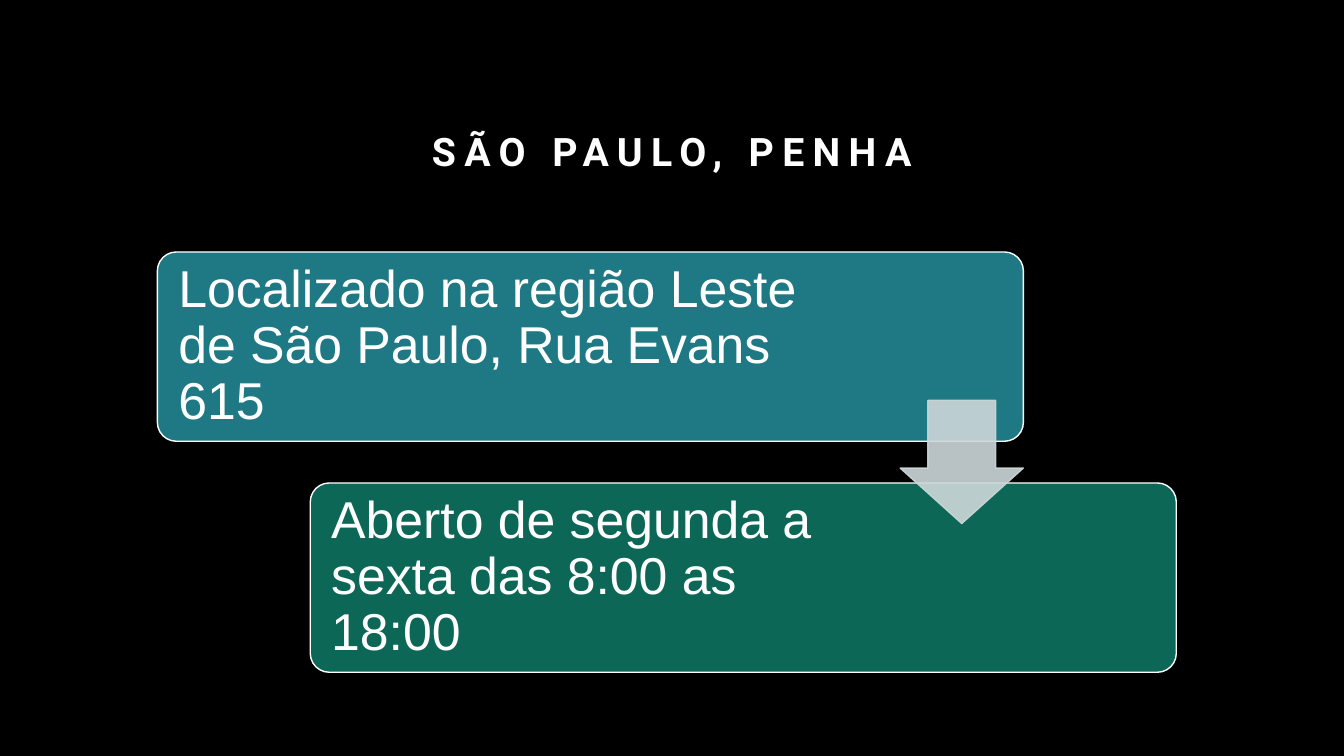
from lxml import etree
from pptx import Presentation
from pptx.dml.color import RGBColor
from pptx.enum import shapes, text
from pptx.oxml import ns
from pptx.util import Pt

BLACK = RGBColor(0x00, 0x00, 0x00)
WHITE = RGBColor(0xFF, 0xFF, 0xFF)
TEAL = RGBColor(0x1F, 0x79, 0x85)
GREEN = RGBColor(0x0D, 0x67, 0x56)
GREY = RGBColor(0xCD, 0xD7, 0xD9)


class SlideBuilder:
    title_font, body_font = "Roboto", "Arial"
    title_size, body_size = 28, 37
    line_width = 1

    def __init__(self, presentation):
        self.slide = presentation.slides.add_slide(presentation.slide_layouts[6])

    def background(self, color):
        fill = self.slide.background.fill
        fill.solid()
        fill.fore_color.rgb = color

    def shape(self, kind, box, adjustments, fill, line, opacity=100):
        shape = self.slide.shapes.add_shape(kind, *map(Pt, box))
        shape.shadow.inherit = False
        for index, value in enumerate(adjustments):
            shape.adjustments[index] = value
        shape.fill.solid()
        shape.fill.fore_color.rgb = fill
        shape.line.color.rgb = line
        shape.line.width = Pt(self.line_width)
        if opacity < 100:
            for color in shape._element.spPr.iter(ns.qn("a:srgbClr")):
                etree.SubElement(color, ns.qn("a:alpha"), val=str(opacity * 1000))
        return shape

    def text(self, words, box, font, size, anchor, spacing, inset=None):
        shape = self.slide.shapes.add_textbox(*map(Pt, box))
        frame = shape.text_frame
        frame.word_wrap = True
        frame.vertical_anchor = anchor
        if inset is not None:
            frame.margin_left = frame.margin_right = Pt(inset)
            frame.margin_top = frame.margin_bottom = Pt(inset)
        frame.text = words
        paragraph = frame.paragraphs[0]
        paragraph.line_spacing = spacing
        run = paragraph.runs[0]
        run.font.name = font
        run.font.size = Pt(size)
        run.font.color.rgb = WHITE
        return paragraph

    def title(self, words, box, tracking):
        paragraph = self.text(words, box, self.title_font, self.title_size,
                              text.MSO_ANCHOR.BOTTOM, 1.2)
        paragraph.alignment = text.PP_ALIGN.CENTER
        run = paragraph.runs[0]
        run.font.bold = True
        run._r.get_or_add_rPr().set("spc", str(tracking * 100))

    def card(self, words, box, text_width, color):
        left, top, _, height = box
        self.shape(shapes.MSO_SHAPE.ROUNDED_RECTANGLE, box, [0.1], color, WHITE)
        gap = 4
        self.text(words, (left + gap, top + gap, text_width, height - 2 * gap),
                  self.body_font, self.body_size, text.MSO_ANCHOR.MIDDLE, 0.9, 11)

    def down_arrow(self, box):
        self.shape(shapes.MSO_SHAPE.DOWN_ARROW, box, [0.55, 0.45], GREY, GREY, 90)


presentation = Presentation()
presentation.slide_width, presentation.slide_height = Pt(960), Pt(540)
builder = SlideBuilder(presentation)
builder.background(BLACK)

# Title
builder.title("SÃO PAULO, PENHA", (120, 60, 720, 68.4), 6)

# Stepped cards
LEFT, TOP, WIDTH, HEIGHT = 112.4, 180, 618.6, 135.2
STEP_X, STEP_Y = 109.2, 165
CARDS = [
    ("Localizado na região Leste de São Paulo, Rua Evans 615", 478.8, TEAL),
    ("Aberto de segunda a sexta das 8:00 as 18:00", 413.3, GREEN),
]
for index, (words, text_width, color) in enumerate(CARDS):
    box = (LEFT + index * STEP_X, TOP + index * STEP_Y, WIDTH, HEIGHT)
    builder.card(words, box, text_width, color)

# Arrow between the cards, flush with the first card's right edge
ARROW = 88
builder.down_arrow((LEFT + WIDTH - ARROW, 286, ARROW, ARROW))

presentation.save("out.pptx")
